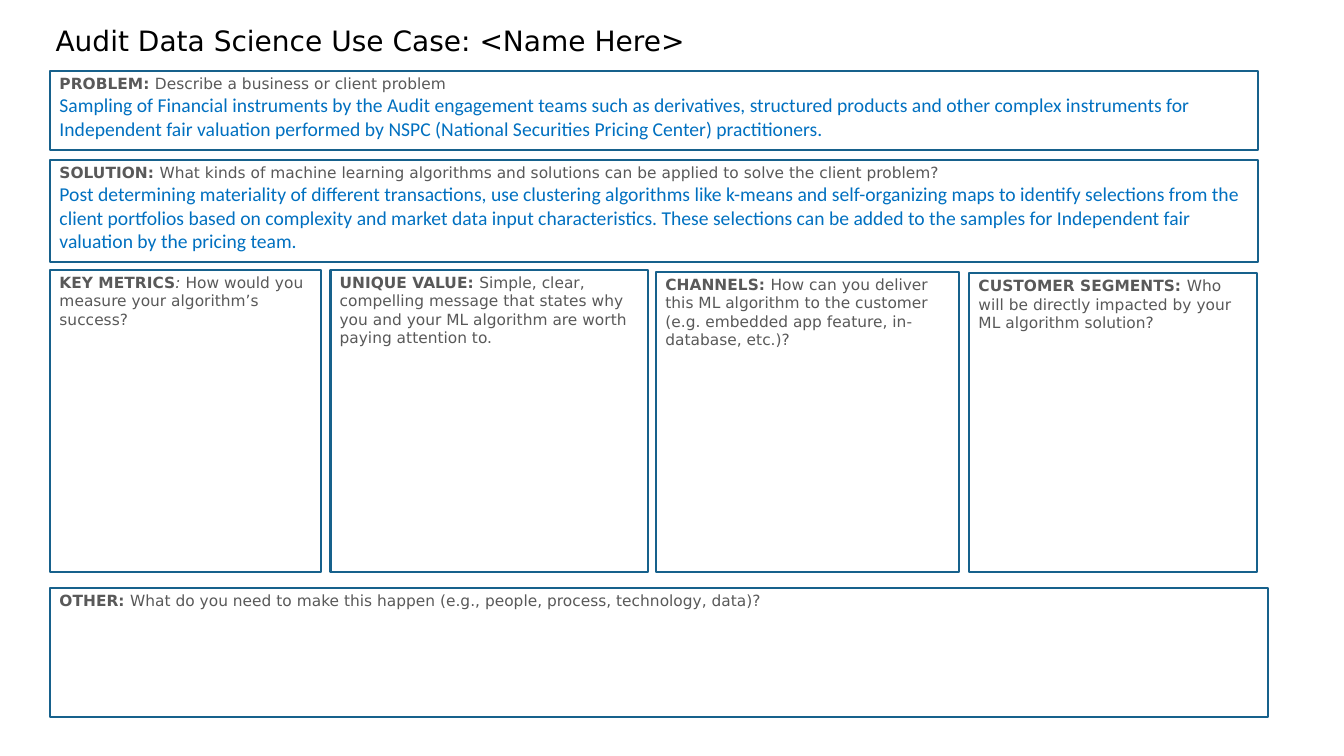
from dataclasses import dataclass

from pptx import Presentation
from pptx.dml.color import RGBColor as RGB
from pptx.enum.shapes import MSO_SHAPE as Shape
from pptx.enum.text import MSO_ANCHOR as Anchor, MSO_AUTO_SIZE as Fit, PP_ALIGN as Align
from pptx.util import Cm, Pt


@dataclass(frozen=True)
class Theme:
    """Colours, fonts and type sizes of the canvas."""
    ink: RGB = RGB(0, 0, 0)
    gray: RGB = RGB(0x59, 0x59, 0x59)
    blue: RGB = RGB(0x00, 0x70, 0xC0)
    edge: RGB = RGB(0x17, 0x61, 0x8C)
    sans: str = "DejaVu Sans"
    hand: str = "Calibri"
    head: float = 20
    label: float = 11
    body: float = 14
    rule: float = 1.5


THEME = Theme()

PROBLEM = ("PROBLEM: ", "", "Describe a business or client problem")
NEED = (
    "Sampling of Financial instruments by the Audit engagement teams such as "
    "derivatives, structured products and other complex instruments for "
    "Independent fair valuation performed by NSPC (National Securities Pricing "
    "Center) practitioners."
)
SOLUTION = (
    "SOLUTION: ", "",
    "What kinds of machine learning algorithms and solutions can be applied "
    "to solve the client problem?",
)
PLAN = (
    "Post determining materiality of different transactions, use clustering "
    "algorithms like k-means and self-organizing maps to identify selections "
    "from the client portfolios based on complexity and market data input "
    "characteristics. These selections can be added to the samples for "
    "Independent fair valuation by the pricing team."
)
COLUMNS = [
    (0, 0, 6.83, ("KEY METRICS", ": ",
                  "How would you measure your algorithm’s success?")),
    (7.06, 0, 8, ("UNIQUE VALUE: ", "",
                  "Simple, clear, compelling message that states why you and "
                  "your ML algorithm are worth paying attention to.")),
    (15.27, 0.05, 7.62, ("CHANNELS: ", "",
                         "How can you deliver this ML algorithm to the customer "
                         "(e.g. embedded app feature, in-database, etc.)?")),
    (23.16, 0.08, 7.26, ("CUSTOMER SEGMENTS: ", "",
                         "Who will be directly impacted by your ML algorithm "
                         "solution?")),
]
OTHER = (
    "OTHER: ", "",
    "What do you need to make this happen (e.g., people, process, technology, data)?",
)


def style(run, face, size, color, bold=False, slant=False):
    """Format one run."""
    font = run.font
    font.name, font.size, font.color.rgb = face, Pt(size), color
    font.bold, font.italic = bold, slant


def place(item, box):
    """Move an item to a box given in centimetres."""
    item.left, item.top, item.width, item.height = map(Cm, box)


def inset(frame, side, rise):
    """Set margins, wrapping and top anchoring of a text frame."""
    frame.margin_left = frame.margin_right = Cm(side)
    frame.margin_top = frame.margin_bottom = Cm(rise)
    frame.word_wrap, frame.auto_size = True, Fit.NONE
    frame.vertical_anchor = Anchor.TOP


def title(slide, box, text):
    """Fill the title placeholder."""
    head = slide.shapes.title
    place(head, box)
    frame = head.text_frame
    frame.text = text
    inset(frame, 0, 0)
    para = frame.paragraphs[0]
    para.alignment = Align.LEFT
    style(para.runs[0], THEME.sans, THEME.head, THEME.ink)


def panel(slide, box, prompt, answer=""):
    """Draw an outlined panel with a prompt and an optional answer."""
    card = slide.shapes.add_shape(Shape.RECTANGLE, *map(Cm, box))
    card.shadow.inherit = False
    card.fill.background()
    card.line.color.rgb, card.line.width = THEME.edge, Pt(THEME.rule)
    frame = card.text_frame
    inset(frame, 0.23, 0.08)
    para = frame.paragraphs[0]
    para.alignment = Align.LEFT
    label, mark, hint = prompt
    for text, bold, slant in ((label, True, False), (mark, False, True), (hint, False, False)):
        if text:
            run = para.add_run()
            run.text = text
            style(run, THEME.sans, THEME.label, THEME.gray, bold, slant)
    if answer:
        para = frame.add_paragraph()
        para.text = answer
        para.alignment = Align.LEFT
        style(para.runs[0], THEME.hand, THEME.body, THEME.blue)


def columns(slide, box):
    """Set the four panels side by side on one shared bottom edge."""
    left, top, _, height = box
    for shift, drop, width, prompt in COLUMNS:
        panel(slide, (left + shift, top + drop, width, height - drop), prompt)


def canvas(slide, box):
    """Lay out the whole use case canvas in a box."""
    left, top, width, _ = box
    title(slide, (left + 0.13, top, width + 0.63, 1.27),
          "Audit Data Science Use Case: <Name Here>")
    panel(slide, (left, top + 1.22, width, 1.98), PROBLEM, NEED)
    panel(slide, (left, top + 3.46, width, 2.57), SOLUTION, PLAN)
    columns(slide, (left, top + 6.22, width, 7.62))
    panel(slide, (left, top + 14.23, width + 0.25, 3.25), OTHER)


def main():
    """Build and save the slide."""
    deck = Presentation()
    deck.slide_width, deck.slide_height = Cm(33.87), Cm(19.05)
    slide = deck.slides.add_slide(deck.slide_layouts[5])
    canvas(slide, (1.27, 0.58, 30.43, 17.48))
    deck.save("out.pptx")


if __name__ == "__main__":
    main()
